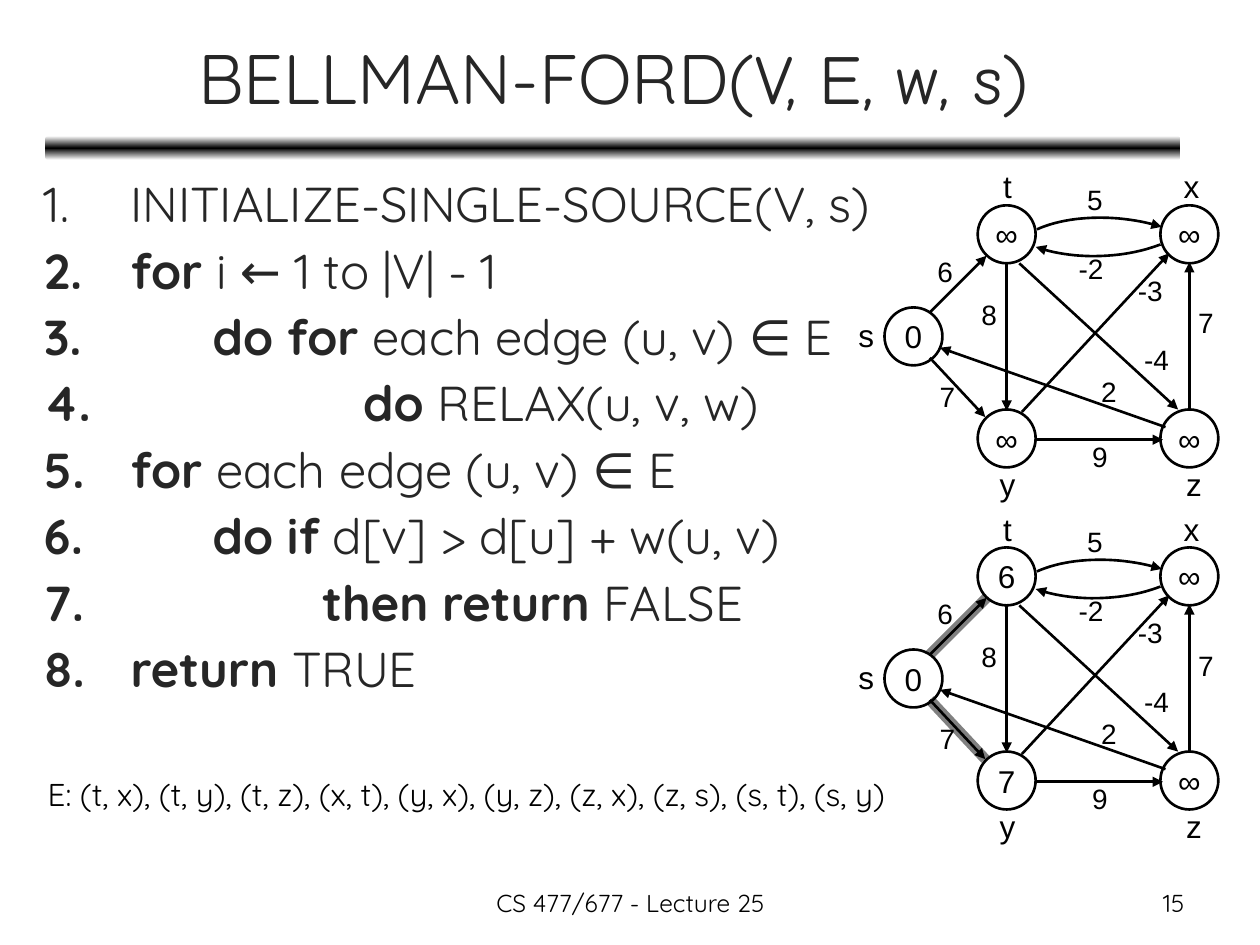
import copy
import dataclasses

import lxml.etree
import pptx
import pptx.dml.color
import pptx.enum.shapes
import pptx.enum.text
import pptx.oxml.ns
import pptx.util

ALIGN = pptx.enum.text.PP_ALIGN
ANCHOR = pptx.enum.text.MSO_ANCHOR
FIT = pptx.enum.text.MSO_AUTO_SIZE
SHAPE = pptx.enum.shapes.MSO_SHAPE
qn = pptx.oxml.ns.qn


@dataclasses.dataclass(frozen=True)
class Theme:
    ink: str = "262626"
    black: str = "000000"
    white: str = "FFFFFF"
    glow: str = "808080"
    head: str = "Quicksand"
    comic: str = "Comic Neue"
    plain: str = "Arial"
    title: int = 40
    code: int = 28
    text: int = 18
    weight: int = 16
    foot: int = 14
    thin: float = 1.5
    thick: float = 6


def color(code):
    return pptx.dml.color.RGBColor.from_string(code)


class Board:
    def __init__(self, deck, theme, cols=100, rows=75):
        self.theme = theme
        self.slide = deck.slides.add_slide(deck.slide_layouts[5])
        self.home = self.slide.shapes
        self.col = deck.slide_width / cols
        self.row = deck.slide_height / rows

    def spot(self, x, y):
        return round(x * self.col), round(y * self.row)

    def area(self, x, y, wide, high):
        return self.spot(x, y) + self.spot(wide, high)

    def group(self):
        self.home = self.slide.shapes.add_group_shape().shapes

    def leave(self):
        self.home = self.slide.shapes

    def style(self, para, size, face=None, ink=None, align=None):
        para.alignment = align
        para.font.size = pptx.util.Pt(size)
        para.font.color.rgb = color(ink or self.theme.black)
        if face:
            para.font.name = face

    def title(self, parts, *area):
        box = self.slide.shapes.title
        box.left, box.top, box.width, box.height = self.area(*area)
        frame = box.text_frame
        frame.auto_size = FIT.NONE
        frame.vertical_anchor = ANCHOR.MIDDLE
        para = frame.paragraphs[0]
        for words, face in parts:
            run = para.add_run()
            run.text = words
            run.font.name = face
        self.style(para, self.theme.title, ink=self.theme.ink, align=ALIGN.CENTER)

    def rule(self, *area):
        bar = self.home.add_shape(SHAPE.ROUNDED_RECTANGLE, *self.area(*area))
        bar.shadow.inherit = False
        bar.line.fill.background()
        bar.fill.gradient()
        bar.fill.gradient_angle = 90
        stops = bar._element.spPr.find(".//" + qn("a:gsLst"))
        stops.append(copy.deepcopy(stops[0]))
        shades = (self.theme.white, self.theme.black, self.theme.white)
        for i, (stop, shade) in enumerate(zip(bar.fill.gradient_stops, shades)):
            stop.position = i / 2
            stop.color.rgb = color(shade)

    def text(self, words, area, size, face, align=ALIGN.LEFT, wrap=True):
        frame = self.home.add_textbox(*self.area(*area)).text_frame
        frame.word_wrap = wrap
        para = frame.paragraphs[0]
        para.text = words
        self.style(para, size, face, align=align)

    def label(self, words, x, y, size):
        wide, high = 2.4 + 0.8 * len(words), 3.7 if size < self.theme.text else 4
        area = x - wide / 2, y - high / 2, wide, high
        self.text(words, area, size, self.theme.plain, ALIGN.CENTER, False)

    def code(self, lines, *area):
        frame = self.home.add_textbox(*self.area(*area)).text_frame
        frame.word_wrap = True
        hang = round(5.8 * self.col)
        for i, (lead, strong, rest) in enumerate(lines):
            para = frame.add_paragraph() if i else frame.paragraphs[0]
            for words, bold in ((" " * lead + strong, True), (rest, False)):
                if words:
                    run = para.add_run()
                    run.text = words
                    run.font.bold = bold and bool(strong)
            props = para._p.get_or_add_pPr()
            props.set("marL", str(hang))
            props.set("indent", str(-hang))
            if i:
                para.space_before = pptx.util.Pt(4.3)
            lxml.etree.SubElement(props, qn("a:buFont"), typeface="+mj-lt")
            lxml.etree.SubElement(props, qn("a:buAutoNum"), type="arabicPeriod")
            self.style(para, self.theme.code, self.theme.head, self.theme.ink, ALIGN.LEFT)

    def node(self, words, x, y, size=4.6):
        dot = self.home.add_shape(
            SHAPE.OVAL, *self.area(x - size / 2, y - size / 2, size, size))
        dot.shadow.inherit = False
        dot.fill.background()
        self.pen(dot, self.theme.black, self.theme.thin)
        frame = dot.text_frame
        frame.word_wrap = False
        frame.vertical_anchor = ANCHOR.MIDDLE
        para = frame.paragraphs[0]
        para.text = words
        self.style(para, self.theme.text, self.theme.plain, align=ALIGN.CENTER)

    def pen(self, item, shade, width, arrow=False):
        item.line.color.rgb = color(shade)
        item.line.width = pptx.util.Pt(width)
        if arrow:
            ln = item._element.spPr.find(qn("a:ln"))
            lxml.etree.SubElement(ln, qn("a:tailEnd"), type="triangle")

    def line(self, start, end, glow=False):
        kind = pptx.enum.shapes.MSO_CONNECTOR.STRAIGHT
        link = self.home.add_connector(kind, *self.spot(*start), *self.spot(*end))
        if glow:
            self.pen(link, self.theme.glow, self.theme.thick)
        else:
            self.pen(link, self.theme.black, self.theme.thin, True)
        lxml.etree.SubElement(link._element.spPr, qn("a:effectLst"))

    def curve(self, knots, steps=24):
        dots = []
        for i in range(steps + 1):
            t = i / steps
            mix = (1 - t) ** 3, 3 * t * (1 - t) ** 2, 3 * t * t * (1 - t), t ** 3
            dots.append(self.spot(*(sum(m * v for m, v in zip(mix, axis))
                                    for axis in zip(*knots))))
        pen = self.home.build_freeform(*dots[0])
        pen.add_line_segments(dots[1:], close=False)
        arc = pen.convert_to_shape()
        arc.shadow.inherit = False
        arc.fill.background()
        self.pen(arc, self.theme.black, self.theme.thin, True)


NODES = {"s": (72.5, 26.7), "t": (79.9, 18.6), "x": (94.4, 18.6),
         "y": (79.9, 34.8), "z": (94.4, 34.8)}
NAMES = {"s": (68.75, 26.6), "t": (79.95, 14.8), "x": (94.55, 14.8),
         "y": (79.95, 38.4), "z": (94.75, 38.4)}
EDGES = {"st": ((73.8, 24.8), (78.3, 20.3)), "sy": ((73.8, 28.4), (78.2, 33.1)),
         "yz": ((82.3, 34.9), (92.3, 34.9)), "yx": ((81.1, 32.7), (92.8, 20.1)),
         "zs": ((92.5, 33.9), (74.6, 27.6)), "ty": ((79.9, 20.8), (79.9, 32.6)),
         "zx": ((94.4, 32.5), (94.4, 20.8)), "tz": ((80.9, 20.9), (93.5, 32.5))}
ARCS = (((82.3, 18.2), (85, 17), (89, 17), (92.2, 18)),
        ((92.1, 19.4), (89, 20.6), (85, 20.6), (82.2, 19.6)))
COSTS = (("6", 75, 21.55), ("5", 86.9, 15.85), ("7", 75.2, 31.45),
         ("7", 95.7, 25.65), ("9", 87.3, 36.25), ("8", 78.5, 24.95),
         ("-3", 91.3, 23.05), ("2", 88, 31.05), ("-4", 91.8, 28.55),
         ("-2", 86.6, 21.35))
GRAPHS = (("0∞∞∞∞", ()), ("06∞7∞", ("st", "sy")))
GAP = 27.15

LINES = ((1, "", "INITIALIZE-SINGLE-SOURCE(V, s)"),
         (1, "for ", "i ← 1 to |V| - 1"),
         (7, "do for ", "each edge (u, v) ∈ E"),
         (18, "do ", "RELAX(u, v, w)"),
         (1, "for ", "each edge (u, v) ∈ E"),
         (7, "do if ", "d[v] > d[u] + w(u, v)"),
         (15, "then return ", "FALSE"),
         (1, "return ", "TRUE"))


def graph(board, values, glow, drop):
    def move(*dots):
        return [(x, y + drop) for x, y in dots]

    board.group()
    for key in glow:
        board.line(*move(*EDGES[key]), glow=True)
    for value, dot in zip(values, move(*NODES.values())):
        board.node(value, *dot)
    for ends in EDGES.values():
        board.line(*move(*ends))
    for knots in ARCS:
        board.curve(move(*knots))
    for cost, x, y in COSTS:
        board.label(cost, x, y + drop, board.theme.weight)
    for name, (x, y) in NAMES.items():
        board.label(name, x, y + drop, board.theme.text)
    board.leave()


def main():
    deck = pptx.Presentation()
    deck.slide_width = pptx.util.Inches(10)
    deck.slide_height = pptx.util.Inches(7.5)
    theme = Theme()
    board = Board(deck, theme)
    board.rule(3.6, 10.8, 90.1, 1.9)
    board.title((("BELLMAN-FORD(", theme.head), ("V, E, w, s", theme.comic),
                 (")", theme.head)), 3.7, 1.1, 90, 9.9)
    board.code(LINES, 2.5, 13.3, 71.8, 55.5)
    for i, (values, glow) in enumerate(GRAPHS):
        graph(board, values, glow, i * GAP)
    board.text("E: (t, x), (t, y), (t, z), (x, t), (y, x), (y, z), (z, x), "
               "(z, s), (s, t), (s, y)", (2.8, 61, 71.8, 4), theme.text, theme.head)
    board.text("CS 477/677 - Lecture 25", (34.2, 70, 31.7, 3.5),
               theme.foot, theme.head, ALIGN.CENTER)
    board.text("15", (71.7, 70, 23.3, 3.5), theme.foot, theme.head, ALIGN.RIGHT)
    deck.save("out.pptx")


if __name__ == "__main__":
    main()
